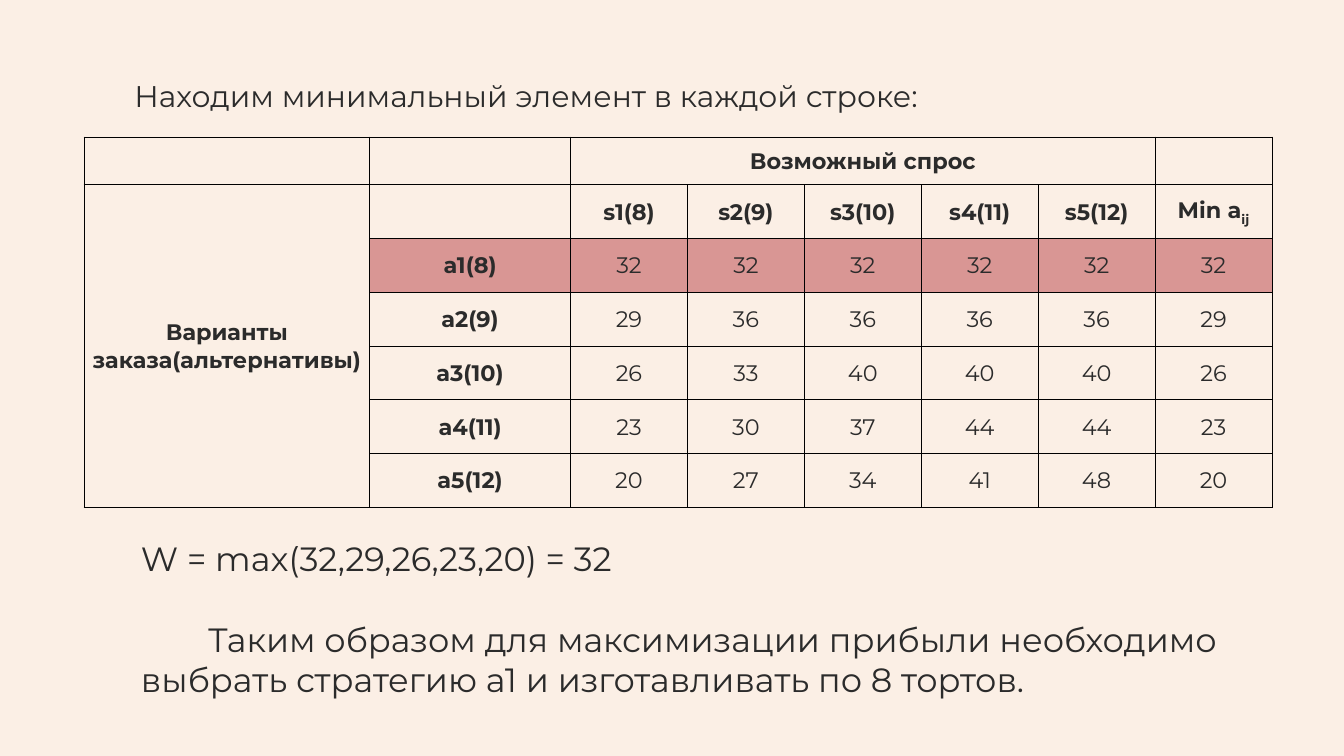
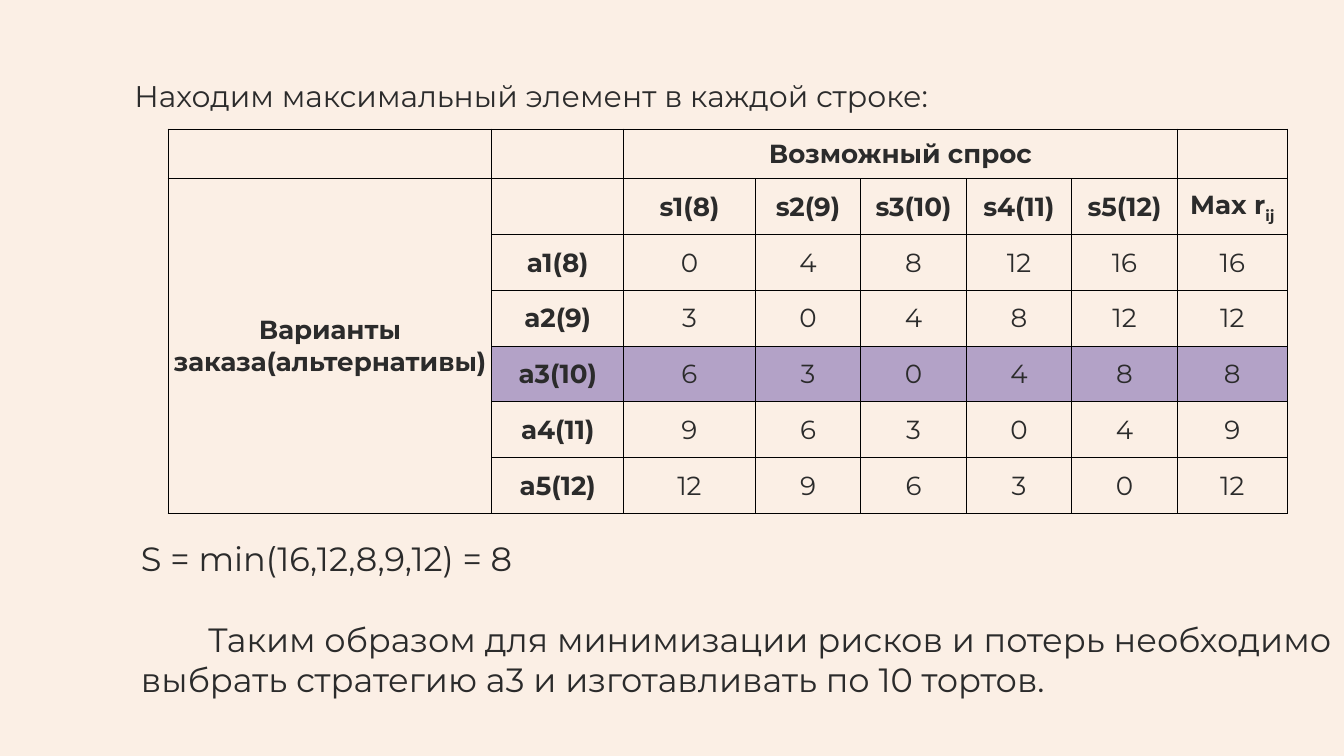
from lxml import etree
from pptx import Presentation
from pptx.dml.color import RGBColor
from pptx.enum.text import MSO_ANCHOR, MSO_AUTO_SIZE, PP_ALIGN
from pptx.oxml.ns import qn
from pptx.util import Inches, Pt

CENTER = PP_ALIGN.CENTER
LEFT = PP_ALIGN.LEFT
JUSTIFY = PP_ALIGN.JUSTIFY
MIDDLE = MSO_ANCHOR.MIDDLE
GROW = MSO_AUTO_SIZE.SHAPE_TO_FIT_TEXT

FONT = "Montserrat"
INK = "2B2B2B"
PAPER = "FBEFE5"
RULE = "000000"


def color(value):
    return RGBColor.from_string(value)


def write(paragraph, text, size=36, bold=False, align=LEFT):
    paragraph.alignment = align
    for position, part in enumerate(text.split("_")):
        run = paragraph.add_run()
        run.text = part
        run.font.name = FONT
        run.font.size = Pt(size)
        run.font.bold = bold
        run.font.color.rgb = color(INK)
        if position:
            run.font._element.set("baseline", "-25000")


demand = ["s1(8)", "s2(9)", "s3(10)", "s4(11)", "s5(12)"]
orders = ["a1(8)", "a2(9)", "a3(10)", "a4(11)", "a5(12)"]

criteria = [
    {
        "heading": "Находим минимальный элемент в каждой строке:",
        "left": 1.25, "top": 2.04, "size": 24,
        "columns": [4.25, 2.99] + [1.74] * 6,
        "rows": [0.71] + [0.8] * 6,
        "pick": min, "pick_label": "Min a_ij",
        "values": [
            [32, 32, 32, 32, 32],
            [29, 36, 36, 36, 36],
            [26, 33, 40, 40, 40],
            [23, 30, 37, 44, 44],
            [20, 27, 34, 41, 48],
        ],
        "best": "a1(8)", "highlight": "D99694",
        "result": "W = max(32,29,26,23,20) = 32",
        "conclusion": "Таким образом для максимизации прибыли необходимо "
                      "выбрать стратегию a1 и изготавливать по 8 тортов.",
    },
    {
        "heading": "Находим максимальный элемент в каждой строке:",
        "left": 2.5, "top": 1.92, "size": 28,
        "columns": [4.82, 1.96, 1.96] + [1.57] * 4 + [1.64],
        "rows": [0.74] + [0.83] * 6,
        "pick": max, "pick_label": "Max r_ij",
        "values": [
            [0, 4, 8, 12, 16],
            [3, 0, 4, 8, 12],
            [6, 3, 0, 4, 8],
            [9, 6, 3, 0, 4],
            [12, 9, 6, 3, 0],
        ],
        "best": "a3(10)", "highlight": "B3A2C7",
        "result": "S = min(16,12,8,9,12) = 8",
        "conclusion": "Таким образом для минимизации рисков и потерь необходимо "
                      "выбрать стратегию a3 и изготавливать по 10 тортов.",
    },
]

deck = Presentation()
deck.slide_width = Inches(20)
deck.slide_height = Inches(11.25)

for criterion in criteria:
    slide = deck.slides.add_slide(deck.slide_layouts[6])
    slide.background.fill.solid()
    slide.background.fill.fore_color.rgb = color(PAPER)

    heading = slide.shapes.add_textbox(Inches(2), Inches(0.54), Inches(14.08), Inches(0.98)).text_frame
    heading.word_wrap = True
    heading.auto_size = GROW
    heading.margin_left = heading.margin_right = heading.margin_top = heading.margin_bottom = 0
    heading.paragraphs[0].line_spacing = Pt(83.1)
    write(heading.paragraphs[0], criterion["heading"], size=32, align=JUSTIFY)

    columns, rows = criterion["columns"], criterion["rows"]
    matrix = slide.shapes.add_table(
        len(rows), len(columns), Inches(criterion["left"]), Inches(criterion["top"]),
        Inches(sum(columns)), Inches(sum(rows))).table
    matrix.first_row = matrix.horz_banding = False
    for column, width in zip(matrix.columns, columns):
        column.width = Inches(width)
    for row, height in zip(matrix.rows, rows):
        row.height = Inches(height)
    matrix.cell(0, 2).merge(matrix.cell(0, 6))
    matrix.cell(1, 0).merge(matrix.cell(6, 0))

    content = [
        ["", "", "Возможный спрос", "", "", "", "", ""],
        ["Варианты заказа(альтернативы)", "", *demand, criterion["pick_label"]],
    ]
    for order, values in zip(orders, criterion["values"]):
        content.append(["", order, *values, criterion["pick"](values)])

    for r, line in enumerate(content):
        for c, entry in enumerate(line):
            cell = matrix.cell(r, c)
            borders = cell._tc.get_or_add_tcPr()
            for side in ("lnL", "lnR", "lnT", "lnB"):
                edge = etree.SubElement(borders, qn("a:" + side), w=str(Pt(1)))
                paint = etree.SubElement(edge, qn("a:solidFill"))
                etree.SubElement(paint, qn("a:srgbClr"), val=RULE)
            if c and line[1] == criterion["best"]:
                cell.fill.solid()
                cell.fill.fore_color.rgb = color(criterion["highlight"])
            else:
                cell.fill.background()
            if entry != "":
                cell.vertical_anchor = MIDDLE
                cell.margin_left = cell.margin_right = cell.margin_top = Inches(0.01)
                cell.margin_bottom = 0
                write(cell.text_frame.paragraphs[0], str(entry), size=criterion["size"],
                      bold=r < 2 or c < 2, align=CENTER)

    summary = slide.shapes.add_textbox(Inches(2), Inches(7.95), Inches(18.5), Inches(2.52)).text_frame
    summary.word_wrap = True
    summary.auto_size = GROW
    write(summary.paragraphs[0], criterion["result"])
    conclusion = summary.add_paragraph()
    conclusion.space_before = Pt(43.5)
    conclusion._p.get_or_add_pPr().set("indent", str(Inches(1)))
    write(conclusion, criterion["conclusion"])

deck.save("out.pptx")
